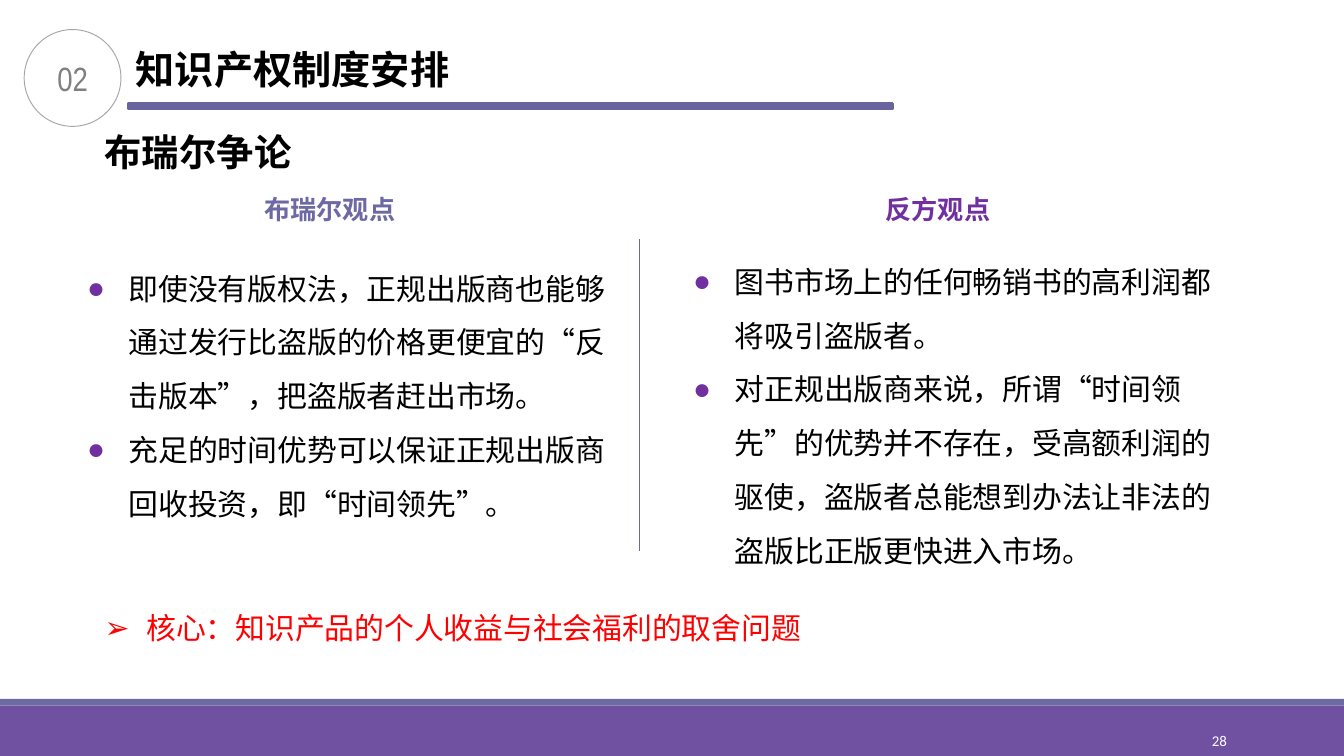
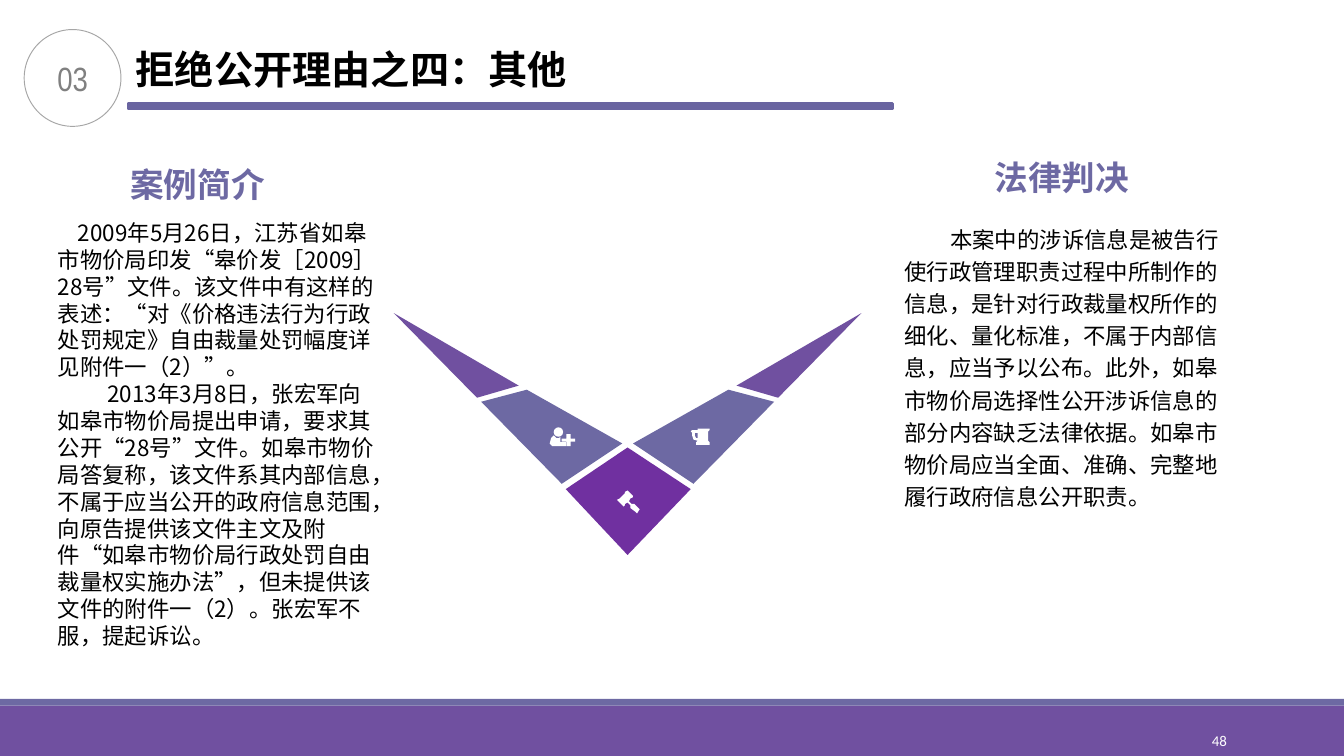
from lxml import etree
from pptx import Presentation
from pptx import util as u
from pptx.dml.color import RGBColor
from pptx.enum import shapes, text
from pptx.oxml import ns

PURPLE, SLATE, VIOLET = "7050A0", "6D69A3", "7030A0"
RULE, GREY, RED = "6964A0", "808080", "FF0000"
BLACK, WHITE = "000000", "FFFFFF"
LATIN, CJK, NARROW = "Calibri", "Noto Sans CJK SC", "Arial Narrow"
TIGHT, NORMAL, NONE = (0.07, 0.04), (0.1, 0.05), (0, 0)
LEFT, CENTER, RIGHT = text.PP_ALIGN.LEFT, text.PP_ALIGN.CENTER, text.PP_ALIGN.RIGHT
SHAPE = shapes.MSO_SHAPE


def rgb(color):
    return RGBColor.from_string(color)


def paint(sp, fill=None, line=None, width=1):
    sp.shadow.inherit = False
    if fill:
        sp.fill.solid()
        sp.fill.fore_color.rgb = rgb(fill)
    else:
        sp.fill.background()
    if line:
        sp.line.color.rgb = rgb(line)
        sp.line.width = u.Pt(width)
    else:
        sp.line.fill.background()
    return sp


def add_shape(s, kind, x, y, w, h, fill=None, line=None, width=1):
    sp = s.shapes.add_shape(kind, *map(u.Inches, (x, y, w, h)))
    return paint(sp, fill, line, width)


def add_outline(s, x, y, contours, fill):
    """Draw closed contours given in inches from the corner (x, y)."""
    pts = [[(u.Inches(x + a), u.Inches(y + b)) for a, b in c] for c in contours]
    fb = s.shapes.build_freeform(*pts[0][0])
    for i, contour in enumerate(pts):
        if i:
            fb.move_to(*contour[0])
        fb.add_line_segments(contour[1:], close=True)
    return paint(fb.convert_to_shape(), fill)


def add_bullet(p, char, color, indent=0.31):
    pPr = p._p.get_or_add_pPr()
    pPr.set("marL", str(u.Inches(indent)))
    pPr.set("indent", str(-u.Inches(indent)))
    clr = etree.SubElement(pPr, ns.qn("a:buClr"))
    etree.SubElement(clr, ns.qn("a:srgbClr")).set("val", color)
    etree.SubElement(pPr, ns.qn("a:buFont")).set("typeface", "Arial")
    etree.SubElement(pPr, ns.qn("a:buChar")).set("char", char)


def write(sp, paras, size, color, font=LATIN, bold=False, align=LEFT, inset=NORMAL,
          anchor=text.MSO_ANCHOR.TOP, wrap=True, spacing=None, bullet=None, indents=()):
    tf = sp.text_frame
    tf.word_wrap = wrap
    tf.vertical_anchor = anchor
    tf.margin_left = tf.margin_right = u.Inches(inset[0])
    tf.margin_top = tf.margin_bottom = u.Inches(inset[1])
    for i, words in enumerate(paras):
        p = tf.add_paragraph() if i else tf.paragraphs[0]
        p.alignment = align
        if bullet:
            add_bullet(p, *bullet)
        if indents:
            p._p.get_or_add_pPr().set("indent", str(u.Inches(indents[i])))
        if spacing:
            p.line_spacing = spacing
        r = p.add_run()
        r.text = words
        r.font.size = u.Pt(size)
        r.font.bold = bold
        r.font.color.rgb = rgb(color)
        r.font.name = font
        etree.SubElement(r._r.get_or_add_rPr(), ns.qn("a:ea")).set("typeface", CJK)


def add_text(s, x, y, w, h, paras, size, color, **style):
    box = s.shapes.add_textbox(*map(u.Inches, (x, y, w, h)))
    write(box, paras, size, color, **style)


def new_slide(prs, section, title, title_width, number):
    s = prs.slides.add_slide(prs.slide_layouts[6])
    middle = text.MSO_ANCHOR.MIDDLE
    # Footer bands and page number
    add_shape(s, SHAPE.RECTANGLE, 0, 5.25, 10, 0.38, PURPLE)
    add_shape(s, SHAPE.RECTANGLE, 0, 5.2, 10, 0.05, SLATE)
    add_text(s, 8.12, 5.36, 1.08, 0.3, [number], 8, WHITE,
             align=RIGHT, inset=TIGHT, anchor=middle)
    # Section badge, title and rule
    add_shape(s, SHAPE.RECTANGLE, 0.95, 0.77, 5.69, 0.04, RULE, RULE, 1.25)
    badge = add_shape(s, SHAPE.OVAL, 0.18, 0.22, 0.72, 0.72, None, "A6A6A6", 0.5)
    write(badge, [section], 18, GREY, font=NARROW, align=CENTER,
          inset=TIGHT, anchor=middle)
    add_text(s, 0.94, 0.3, title_width, 0.43, [title], 21, BLACK, font=CJK,
             bold=True, inset=TIGHT, wrap=False)
    return s


def add_divider(s, x, top, bottom):
    c = s.shapes.add_connector(shapes.MSO_CONNECTOR.STRAIGHT,
                               *map(u.Inches, (x, top, x, bottom)))
    c.line.color.rgb = rgb(SLATE)
    c.line.width = u.Pt(0.75)
    etree.SubElement(c._element.spPr, ns.qn("a:effectLst"))


def add_viewpoint(s, x, y, h, points):
    add_text(s, x, y, 4.06, h, points, 16, BLACK, spacing=1.5, bullet=("●", VIOLET))


def debate_slide(prs):
    s = new_slide(prs, "02", "知识产权制度安排", 2.52, "28")
    add_text(s, 0.68, 0.91, 7.41, 1.01, ["布瑞尔争论"], 20, BLACK, bold=True)
    # Two opposing views
    add_divider(s, 4.76, 1.78, 4.1)
    add_text(s, 0.73, 1.39, 2.31, 0.34, ["布瑞尔观点"], 14, SLATE,
             font=CJK, bold=True, align=RIGHT)
    add_text(s, 6.49, 1.39, 2.31, 0.34, ["反方观点"], 14, VIOLET, font=CJK, bold=True)
    add_viewpoint(s, 0.55, 1.83, 2.07, [
        "即使没有版权法，正规出版商也能够通过发行比盗版的价格更便宜的“反击版本”，把盗版者赶出市场。",
        "充足的时间优势可以保证正规出版商回收投资，即“时间领先”。"])
    add_viewpoint(s, 5.06, 1.78, 2.48, [
        "图书市场上的任何畅销书的高利润都将吸引盗版者。",
        "对正规出版商来说，所谓“时间领先”的优势并不存在，受高额利润的驱使，"
        "盗版者总能想到办法让非法的盗版比正版更快进入市场。"])
    # Core question
    add_text(s, 0.68, 4.49, 8.35, 0.37, ["核心：知识产品的个人收益与社会福利的取舍问题"],
             16, RED, bullet=("➢", RED))


def add_person_icon(s, x, y):
    add_shape(s, SHAPE.OVAL, x + 0.03, y, 0.07, 0.07, WHITE)
    body = [(0.03, 0.06), (0.05, 0.08), (0.07, 0.08), (0.08, 0.07), (0.08, 0.11),
            (0.12, 0.11), (0.12, 0.14), (0.02, 0.14), (0, 0.12), (0.01, 0.08)]
    add_outline(s, x, y, [body], WHITE)
    plus = add_shape(s, SHAPE.CROSS, x + 0.09, y + 0.05, 0.1, 0.09, WHITE)
    plus.adjustments[0] = 0.38


def add_mug_icon(s, x, y):
    mug = [(0, 0.02), (0.01, 0.01), (0.05, 0.01), (0.05, 0), (0.14, 0), (0.14, 0.01),
           (0.13, 0.02), (0.13, 0.09), (0.14, 0.1), (0.14, 0.12), (0.04, 0.12),
           (0.04, 0.1), (0.05, 0.09), (0.02, 0.08), (0.01, 0.05), (0.01, 0.03)]
    handle = [(0.05, 0.03), (0.03, 0.03), (0.03, 0.05), (0.04, 0.07), (0.05, 0.07)]
    add_outline(s, x, y, [mug, handle], WHITE)


def add_gavel_icon(s, x, y):
    gavel = [(0, 0.07), (0.02, 0.06), (0.06, 0.02), (0.06, 0.01), (0.08, 0),
             (0.12, 0.04), (0.12, 0.05), (0.1, 0.06), (0.09, 0.08), (0.11, 0.1),
             (0.13, 0.1), (0.17, 0.14), (0.15, 0.17), (0.14, 0.16), (0.1, 0.13),
             (0.1, 0.11), (0.08, 0.09), (0.06, 0.1), (0.06, 0.11), (0.05, 0.12)]
    add_outline(s, x, y, [gavel], WHITE)


def add_vee(s, x, y, w=3.48):
    wing = [(0, 0), (0.93, 0.54), (0.62, 0.63)]
    panel = [(0.99, 0.57), (0.65, 0.66), (1.25, 1.27), (1.7, 0.97)]
    base = [(1.74, 1), (1.28, 1.31), (1.74, 1.8), (2.21, 1.31)]
    # Each arm part and its mirror image
    for part, color in ((wing, PURPLE), (panel, SLATE)):
        add_outline(s, x, y, [part], color)
        add_outline(s, x, y, [[(w - a, b) for a, b in part]], color)
    add_outline(s, x, y, [base], VIOLET)
    # Icons
    add_person_icon(s, x + 1.16, y + 0.85)
    add_mug_icon(s, x + 2.21, y + 0.86)
    add_gavel_icon(s, x + 1.66, y + 1.32)


def case_slide(prs):
    s = new_slide(prs, "03", "拒绝公开理由之四：其他", 3.41, "48")
    add_vee(s, 2.93, 2.33)
    head = dict(bold=True, inset=NONE, wrap=False)
    # Judgment
    add_text(s, 6.73, 1.64, 2.36, 2.66, [
        "本案中的涉诉信息是被告行使行政管理职责过程中所制作的信息，是针对行政裁量权所作的细化、量化标准，"
        "不属于内部信息，应当予以公布。此外，如皋市物价局选择性公开涉诉信息的部分内容缺乏法律依据。"
        "如皋市物价局应当全面、准确、完整地履行政府信息公开职责。"],
        12, BLACK, inset=NONE, spacing=1.2, indents=[0.34])
    add_text(s, 6.26, 1.17, 2.14, 0.51, ["法律判决"], 18, SLATE, align=RIGHT, **head)
    # Case summary
    add_text(s, 0.43, 1.63, 2.42, 2.82, [
        "2009年5月26日，江苏省如皋市物价局印发“皋价发［2009］28号”文件。该文件中有这样的表述："
        "“对《价格违法行为行政处罚规定》自由裁量处罚幅度详见附件一（2）”。",
        "2013年3月8日，张宏军向如皋市物价局提出申请，要求其公开“28号”文件。如皋市物价局答复称，"
        "该文件系其内部信息，不属于应当公开的政府信息范围，向原告提供该文件主文及附件"
        "“如皋市物价局行政处罚自由裁量权实施办法”，但未提供该文件的附件一（2）。张宏军不服，提起诉讼。"],
        12, BLACK, font=CJK, inset=NONE, indents=[0.15, 0.37])
    add_text(s, 0.97, 1.22, 2.14, 0.44, ["案例简介"], 18, SLATE, **head)


def main():
    prs = Presentation()
    # Widescreen, 16:9
    prs.slide_width = u.Inches(10)
    prs.slide_height = prs.slide_width * 9 // 16
    debate_slide(prs)
    case_slide(prs)
    prs.save("out.pptx")


if __name__ == "__main__":
    main()
